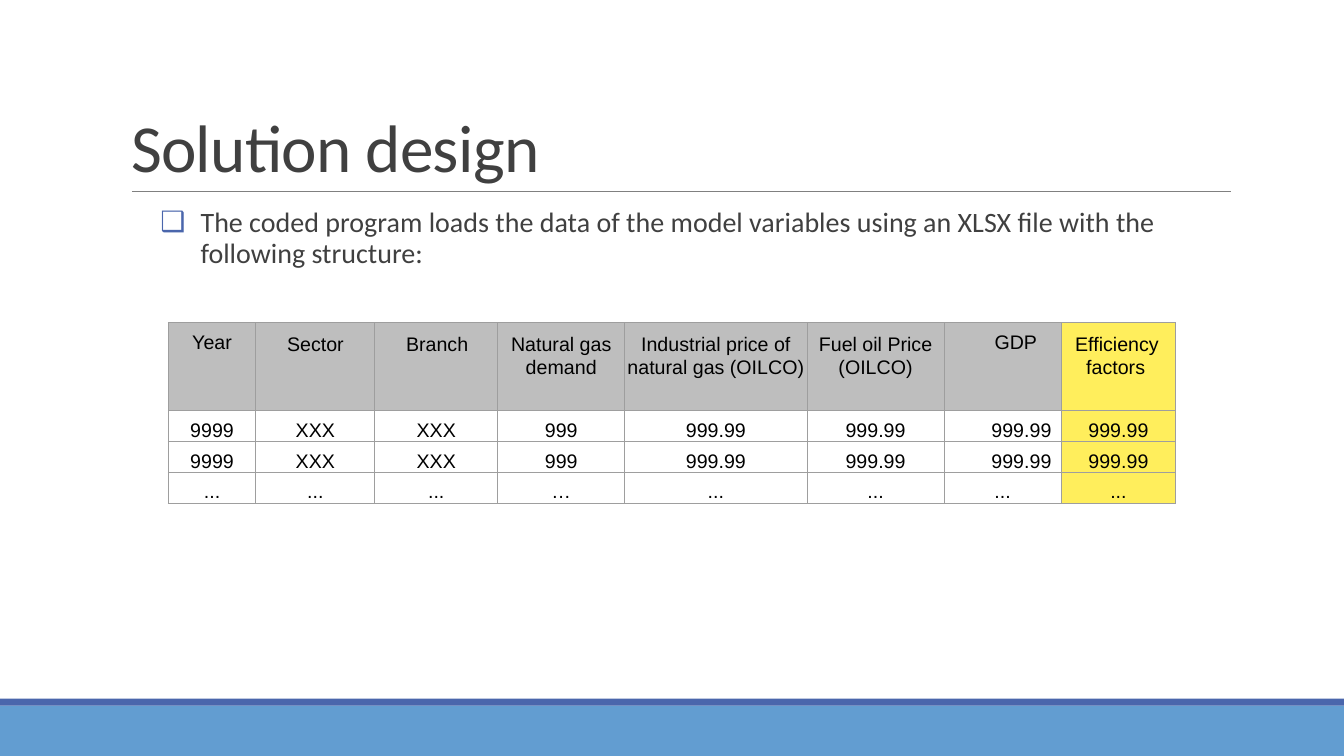
"""Build the Solution design slide with its table of model variables."""
from lxml.etree import SubElement
from pptx import Presentation
from pptx.dml.color import RGBColor
from pptx.enum.shapes import MSO_CONNECTOR, MSO_SHAPE
from pptx.enum.text import MSO_ANCHOR, MSO_AUTO_SIZE, PP_ALIGN
from pptx.oxml import parse_xml
from pptx.oxml.ns import nsdecls, qn
from pptx.util import Pt


def paint(color, tint):
    color.rgb = RGBColor.from_string(tint)


def style(para, face, size, tint):
    for run in para.runs:
        run.font.name = face
        run.font.size = Pt(size)
        paint(run.font.color, tint)


deck = Presentation()
deck.slide_width, deck.slide_height = Pt(960), Pt(540)
slide = deck.slides.add_slide(deck.slide_layouts[1])
shapes = slide.shapes

for top, height, tint in [(504, 36, "629DD1"), (499, 5, "4A66AC")]:
    band = shapes.add_shape(MSO_SHAPE.RECTANGLE, 0, Pt(top), Pt(960), Pt(height))
    band.shadow.inherit = False
    band.fill.solid()
    paint(band.fill.fore_color, tint)
    band.line.fill.background()

rule = shapes.add_connector(MSO_CONNECTOR.STRAIGHT, Pt(94.3), Pt(136.8), Pt(879), Pt(136.8))
rule.line.width = Pt(0.5)
paint(rule.line.color, "808080")
SubElement(rule.element.spPr, qn("a:effectLst"))

title, body = shapes.title, slide.placeholders[1]
places = [(title, 22.3, 114.5, "Solution design", 48),
          (body, 145.4, 316.8, "The coded program loads the data of the model variables "
           "using an XLSX file with the following structure:", 20)]
for holder, top, height, text, size in places:
    holder.left, holder.top = Pt(86.4), Pt(top)
    holder.width, holder.height = Pt(792), Pt(height)
    frame = holder.text_frame
    frame.text = text
    frame.auto_size = MSO_AUTO_SIZE.NONE
    para = frame.paragraphs[0]
    para.alignment = PP_ALIGN.LEFT
    style(para, "Calibri", size, "404040")

title.text_frame.vertical_anchor = MSO_ANCHOR.BOTTOM
head = title.text_frame.paragraphs[0]
head.line_spacing = 0.85
head.runs[0].font._element.set("spc", "-50")

frame = body.text_frame
frame.vertical_anchor = MSO_ANCHOR.TOP
frame.margin_left = frame.margin_right = 0
item = frame.paragraphs[0]
item.line_spacing = 0.9
item.space_before, item.space_after = Pt(12), Pt(2)
props = item._p.get_or_add_pPr()
props.set("marL", str(Pt(56.9)))
props.set("indent", str(Pt(-28.8)))
hue = SubElement(props, qn("a:buClr"))
SubElement(hue, qn("a:srgbClr"), val="4A66AC")
SubElement(props, qn("a:buChar"), char="❑")

widths = [62.6, 85, 87.8, 90.7, 130.3, 97.9, 83.5, 82.1]
rows = [
    ["Year", "Sector", "Branch", "Natural gas demand",
     "Industrial price of natural gas (OILCO)", "Fuel oil Price (OILCO)",
     "GDP", "Efficiency factors"],
    *[["9999", "XXX", "XXX", "999"] + ["999.99"] * 4] * 2,
    ["...", "...", "...", "…"] + ["..."] * 4,
]
indents = {(0, 1): (20.9, 1.4), (0, 2): (20.9, 1.4), (0, 6): (36, 0),
           (0, 7): (18, -7.9), (1, 6): (33.8, 0), (2, 6): (33.8, 0)}

grid = shapes.add_table(4, 8, Pt(120.2), Pt(230.4), Pt(719.9), Pt(129)).table
grid.first_row = grid.horz_banding = False
for col, width in zip(grid.columns, widths):
    col.width = Pt(width)
for r, texts in enumerate(rows):
    grid.rows[r].height = Pt(22 if r else 63)
    for c, text in enumerate(texts):
        cell = grid.cell(r, c)
        cell.margin_left = cell.margin_right = cell.margin_bottom = 0
        fixed = r == 0 and c not in (0, 6)
        cell.margin_top = Pt(7 if fixed else 6.2)
        cell.text_frame.text = text
        para = cell.text_frame.paragraphs[0]
        style(para, "Arial", 14, "000000")
        para.space_before = Pt(7 if fixed else 6.2)
        if fixed:
            para.line_spacing = Pt(16.5)
        para.alignment = PP_ALIGN.CENTER
        if (r, c) in indents:
            para.alignment = PP_ALIGN.LEFT
            left, first = indents[r, c]
            props = para._p.get_or_add_pPr()
            props.set("marL", str(Pt(left)))
            props.set("indent", str(Pt(first)))
        if c == 7 or r == 0:
            cell.fill.solid()
            paint(cell.fill.fore_color, "FFEB3B" if c == 7 else "BEBEBE")
        else:
            cell.fill.background()
        box = cell._tc.get_or_add_tcPr()
        if c == 7:
            SubElement(box.find(".//" + qn("a:srgbClr")), qn("a:alpha"), val="83000")
        for spot, side in enumerate("LRTB"):
            box.insert(spot, parse_xml(
                f'<a:ln{side} {nsdecls("a")} w="{Pt(0.75)}"><a:solidFill>'
                f'<a:srgbClr val="9E9E9E"/></a:solidFill></a:ln{side}>'))

deck.save("out.pptx")
